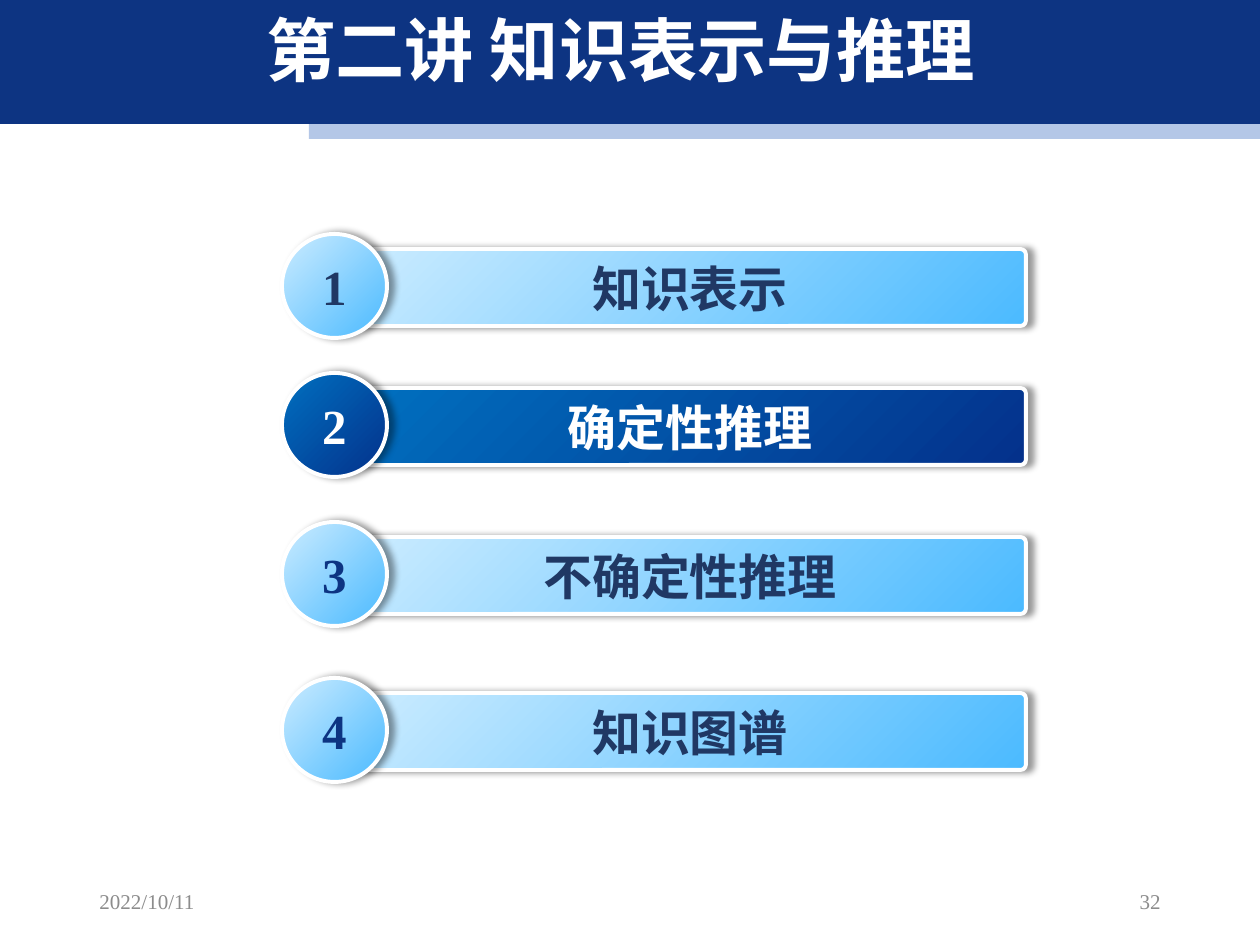
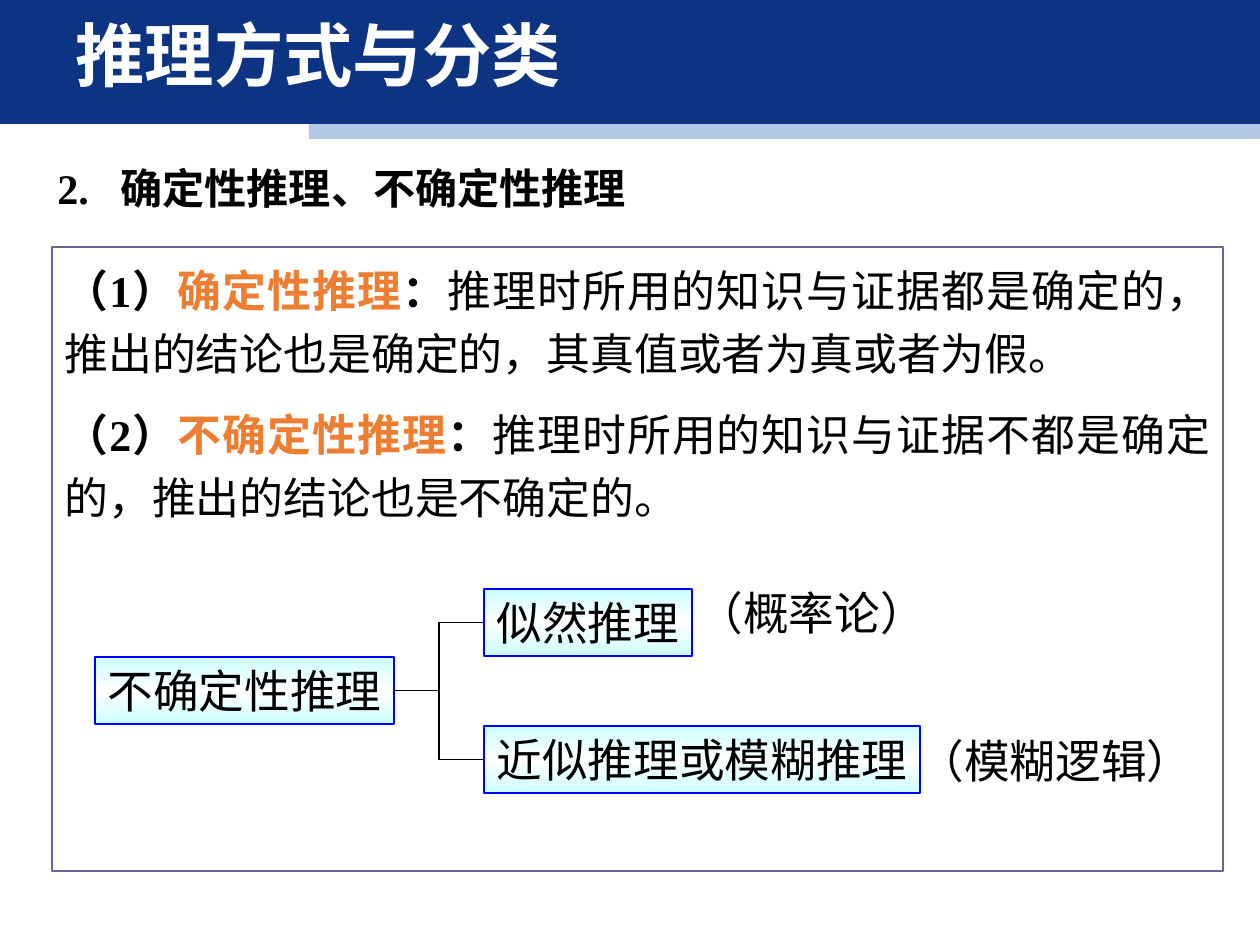
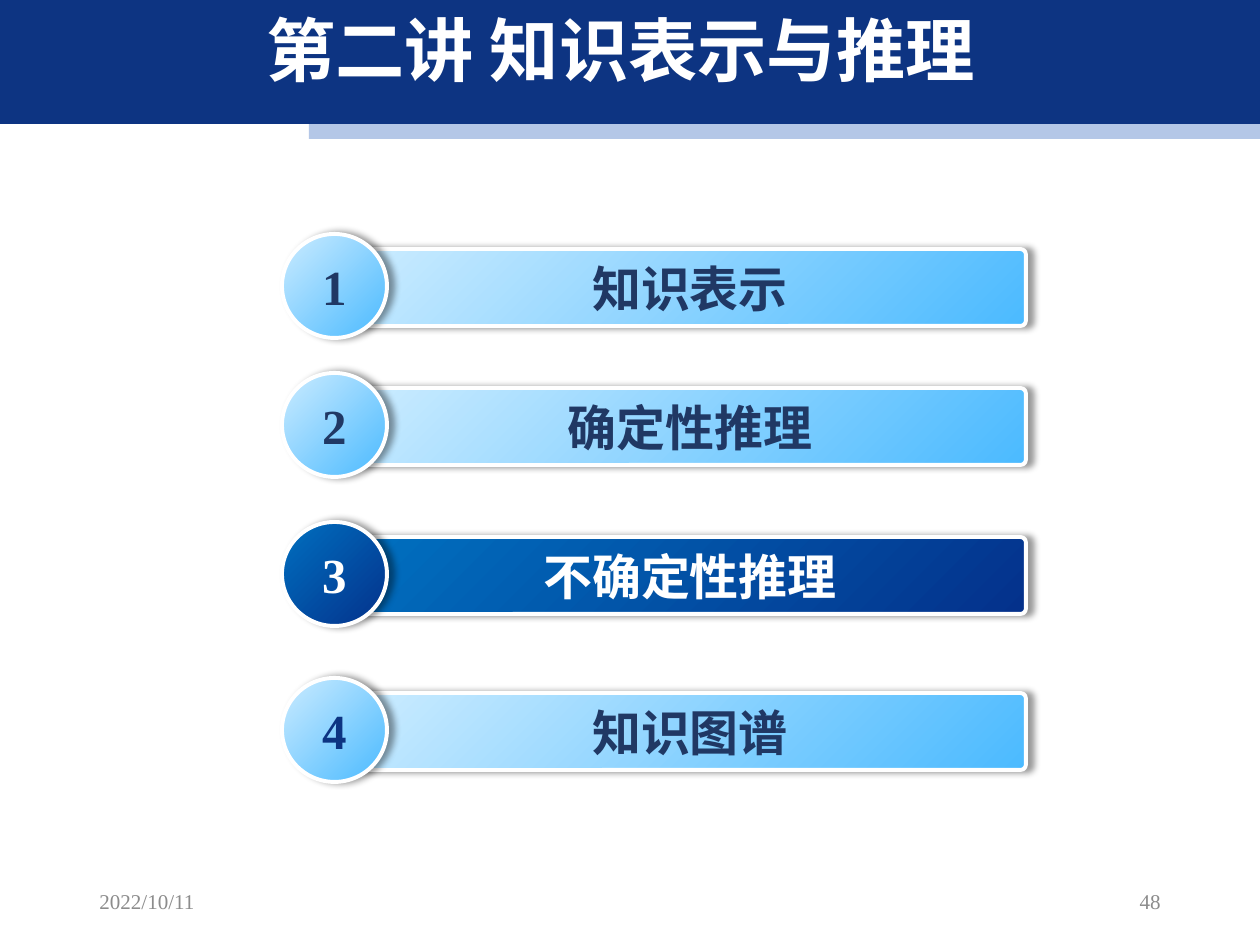
import pptx
import pptx.dml.color
import pptx.enum.lang
import pptx.enum.shapes
import pptx.enum.text
import pptx.oxml
import pptx.oxml.ns
import pptx.util

RGBColor = pptx.dml.color.RGBColor
Shapes = pptx.enum.shapes.MSO_SHAPE
Align = pptx.enum.text.PP_ALIGN
Anchor = pptx.enum.text.MSO_ANCHOR
qn = pptx.oxml.ns.qn
NAMESPACE = pptx.oxml.ns.nsdecls("a")

EMU_PER_PX = 914400 / 126.4
SLIDE_WIDTH, SLIDE_HEIGHT = 1260, 945

WHITE = RGBColor(0xFF, 0xFF, 0xFF)
BLACK = RGBColor(0x00, 0x00, 0x00)
NAVY = RGBColor(0x0D, 0x34, 0x82)
PALE_BLUE = RGBColor(0xB4, 0xC7, 0xE7)
INK_BLUE = RGBColor(0x20, 0x38, 0x64)
GRAY = RGBColor(0x8C, 0x8C, 0x8C)
ORANGE = RGBColor(0xED, 0x7D, 0x31)
BOX_BLUE = RGBColor(0x00, 0x00, 0xFF)
PANEL_PURPLE = RGBColor(0x66, 0x66, 0x99)
ACTIVE_GRADIENT = (RGBColor(0x00, 0x70, 0xC0), RGBColor(0x04, 0x31, 0x8B))
IDLE_GRADIENT = (RGBColor(0xCC, 0xEC, 0xFF), RGBColor(0x4B, 0xBA, 0xFF))
ICE = RGBColor(0xCC, 0xFF, 0xFF)
BOX_GRADIENT = (ICE, WHITE, ICE)

SERIF, SANS, CHINESE = "Times New Roman", "Arial", "Noto Sans CJK SC"

LECTURE_TITLE = "第二讲 知识表示与推理"
# Number, label, top of the bar, colour of the number when idle
TOPICS = (
    ("1", "知识表示", 249, INK_BLUE),
    ("2", "确定性推理", 388, INK_BLUE),
    ("3", "不确定性推理", 537, NAVY),
    ("4", "知识图谱", 693, NAVY),
)
# Term and explanation
DEFINITIONS = (
    ("（1）", "确定性推理",
     "推理时所用的知识与证据都是确定的，推出的结论也是确定的，其真值或者为真或者为假。"),
    ("（2）", "不确定性推理",
     "推理时所用的知识与证据不都是确定的，推出的结论也是不确定的。"),
)


def px(length):
    return pptx.util.Emu(round(length * EMU_PER_PX))


def place(box):
    return [px(length) for length in box]


# Text
def add_run(paragraph, text, size, color, name=SERIF, bold=False):
    run = paragraph.add_run()
    run.text = text
    font = run.font
    font.size, font.bold, font.name = pptx.util.Pt(size), bold, name
    font.color.rgb = color
    font.language_id = pptx.enum.lang.MSO_LANGUAGE_ID.SIMPLIFIED_CHINESE
    run.font._element.append(
        pptx.oxml.parse_xml(f'<a:ea {NAMESPACE} typeface="{CHINESE}"/>'))


def add_text(slide, box, text, size, color, name=SERIF, bold=False,
             align=Align.LEFT, anchor=Anchor.TOP, wrap=True):
    shape = slide.shapes.add_textbox(*place(box))
    fill_text(shape, text, size, color, name, bold, align, anchor, wrap)
    return shape


def fill_text(shape, text, size, color, name, bold, align, anchor, wrap=True):
    frame = shape.text_frame
    frame.word_wrap, frame.vertical_anchor = wrap, anchor
    paragraph = frame.paragraphs[0]
    paragraph.alignment = align
    add_run(paragraph, text, size, color, name, bold)


# Shapes
def add_shape(slide, kind, box, line_color=None, line_width=0.75):
    shape = slide.shapes.add_shape(kind, *place(box))
    shape.shadow.inherit = False
    shape.fill.background()
    if line_color is None:
        shape.line.fill.background()
    else:
        shape.line.color.rgb = line_color
        shape.line.width = pptx.util.Pt(line_width)
    return shape


def set_gradient(shape, colors, angle):
    step = 100000 // (len(colors) - 1)
    stops = "".join(
        f'<a:gs pos="{index * step}"><a:srgbClr val="{color}"/></a:gs>'
        for index, color in enumerate(colors))
    properties = shape.element.spPr
    properties.replace(properties.find(qn("a:noFill")), pptx.oxml.parse_xml(
        f'<a:gradFill {NAMESPACE} rotWithShape="1"><a:gsLst>{stops}</a:gsLst>'
        f'<a:lin ang="{angle * 60000}" scaled="0"/></a:gradFill>'))


def set_shadow(shape):
    shape.element.spPr.find(qn("a:effectLst")).append(pptx.oxml.parse_xml(
        f'<a:outerShdw {NAMESPACE} blurRad="50800" dist="38100" dir="0" '
        'algn="l" rotWithShape="0"><a:srgbClr val="000000">'
        '<a:alpha val="40000"/></a:srgbClr></a:outerShdw>'))


# Shared slide parts
def add_bands(slide, layout):
    """Draw the header bands and move them to the back of the layout."""
    for box, color in (((309, 124, 951, 15), PALE_BLUE),
                       ((0, -5, SLIDE_WIDTH, 129), NAVY)):
        band = add_shape(slide, Shapes.RECTANGLE, box)
        band.fill.solid()
        band.fill.fore_color.rgb = color
        layout.shapes[0].element.addprevious(band.element)


def add_title(slide, text, box, align):
    title = slide.shapes.title
    title.left, title.top, title.width, title.height = place(box)
    fill_text(title, text, 39.5, WHITE, CHINESE, True, align, Anchor.MIDDLE)
    title.text_frame.paragraphs[0].line_spacing = 0.9


def add_footer(slide, number):
    for left, text, align in ((87, "2022/10/11", Align.LEFT),
                              (890, number, Align.RIGHT)):
        add_text(slide, (left, 876, 283, 51), text, 12, GRAY,
                 align=align, anchor=Anchor.MIDDLE)


# Agenda slides
def add_topic(slide, number, label, top, number_color, active):
    bar = add_shape(slide, Shapes.ROUNDED_RECTANGLE, (354, top, 672, 77),
                    WHITE, 2.25)
    bar.adjustments[0] = 0.07
    disc = add_shape(slide, Shapes.OVAL, (282, top - 15, 105, 104),
                     WHITE, 2.25)
    for shape, text, color in ((bar, label, INK_BLUE),
                               (disc, number, number_color)):
        set_gradient(shape, ACTIVE_GRADIENT if active else IDLE_GRADIENT, 45)
        set_shadow(shape)
        fill_text(shape, text, 27.9, WHITE if active else color, SERIF, True,
                  Align.CENTER, Anchor.MIDDLE)


def fill_agenda(slide, active_number, page):
    add_title(slide, LECTURE_TITLE, (144, 13, 953, 83), Align.CENTER)
    for number, label, top, color in TOPICS:
        add_topic(slide, number, label, top, color, number == active_number)
    add_footer(slide, page)


# Reasoning slide
def add_box(slide, box, text):
    shape = add_shape(slide, Shapes.RECTANGLE, box, BOX_BLUE)
    set_gradient(shape, BOX_GRADIENT, 90)
    fill_text(shape, text, 26, BLACK, SANS, False, Align.LEFT, Anchor.TOP,
              wrap=False)
    return shape


def add_branch(slide, parent, child):
    """Join the right side of parent to the left side of child."""
    branch = slide.shapes.add_connector(
        pptx.enum.shapes.MSO_CONNECTOR.ELBOW, 0, 0, 0, 0)
    branch.begin_connect(parent, 3)
    branch.end_connect(child, 1)
    branch.line.color.rgb = BLACK
    branch.line.width = pptx.util.Pt(0.75)
    branch.element.spPr.append(
        pptx.oxml.parse_xml(f"<a:effectLst {NAMESPACE}/>"))


def add_definitions(slide):
    panel = add_shape(slide, Shapes.RECTANGLE, (52, 247, 1171, 624),
                      PANEL_PURPLE)
    frame = panel.text_frame
    frame.word_wrap, frame.vertical_anchor = True, Anchor.TOP
    for index, (number, term, explanation) in enumerate(DEFINITIONS):
        paragraph = frame.add_paragraph() if index else frame.paragraphs[0]
        paragraph.alignment = Align.JUSTIFY
        paragraph.line_spacing = 1.2
        paragraph.space_before = pptx.util.Pt(10)
        for text, color, bold in ((number, BLACK, True), (term, ORANGE, True),
                                  ("：", BLACK, True),
                                  (explanation, BLACK, False)):
            add_run(paragraph, text, 25, color, bold=bold)


def fill_reasoning(slide):
    add_title(slide, "推理方式与分类", (63, 21, 1103, 77), Align.LEFT)

    # Numbered heading with a hanging indent
    heading = add_text(slide, (45, 162, 1183, 75),
                       "2.\t确定性推理、不确定性推理", 24, BLACK, bold=True)
    paragraph = heading.text_frame.paragraphs[0]
    paragraph.line_spacing = 0.9
    properties = paragraph._p.get_or_add_pPr()
    properties.set("marL", str(px(63)))
    properties.set("indent", str(-px(63)))

    # Classification tree
    root = add_box(slide, (95, 657, 299, 67), "不确定性推理")
    for box, text, note_box, note in (
            ((484, 589, 208, 67), "似然推理",
             (685, 579, 254, 67), "（概率论）"),
            ((484, 726, 436, 67), "近似推理或模糊推理",
             (906, 727, 300, 67), "（模糊逻辑）")):
        add_branch(slide, root, add_box(slide, box, text))
        add_text(slide, note_box, note, 26, BLACK, SANS, wrap=False)

    add_definitions(slide)


def main():
    presentation = pptx.Presentation()
    presentation.slide_width = px(SLIDE_WIDTH)
    presentation.slide_height = px(SLIDE_HEIGHT)
    layout = presentation.slide_layouts.get_by_name("Title Only")
    first, second, third = [presentation.slides.add_slide(layout)
                            for _ in range(3)]
    add_bands(first, layout)
    fill_agenda(first, "2", "32")
    fill_reasoning(second)
    fill_agenda(third, "3", "48")
    presentation.save("out.pptx")


if __name__ == "__main__":
    main()
